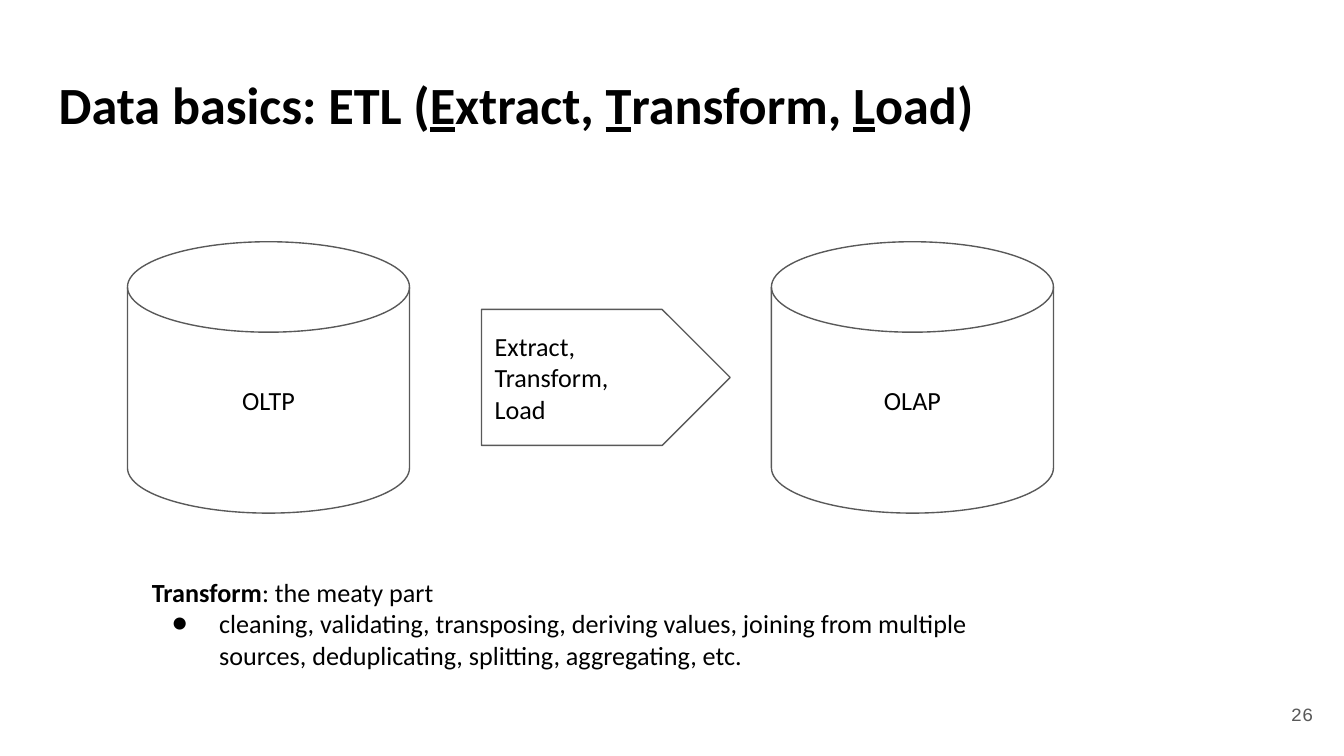
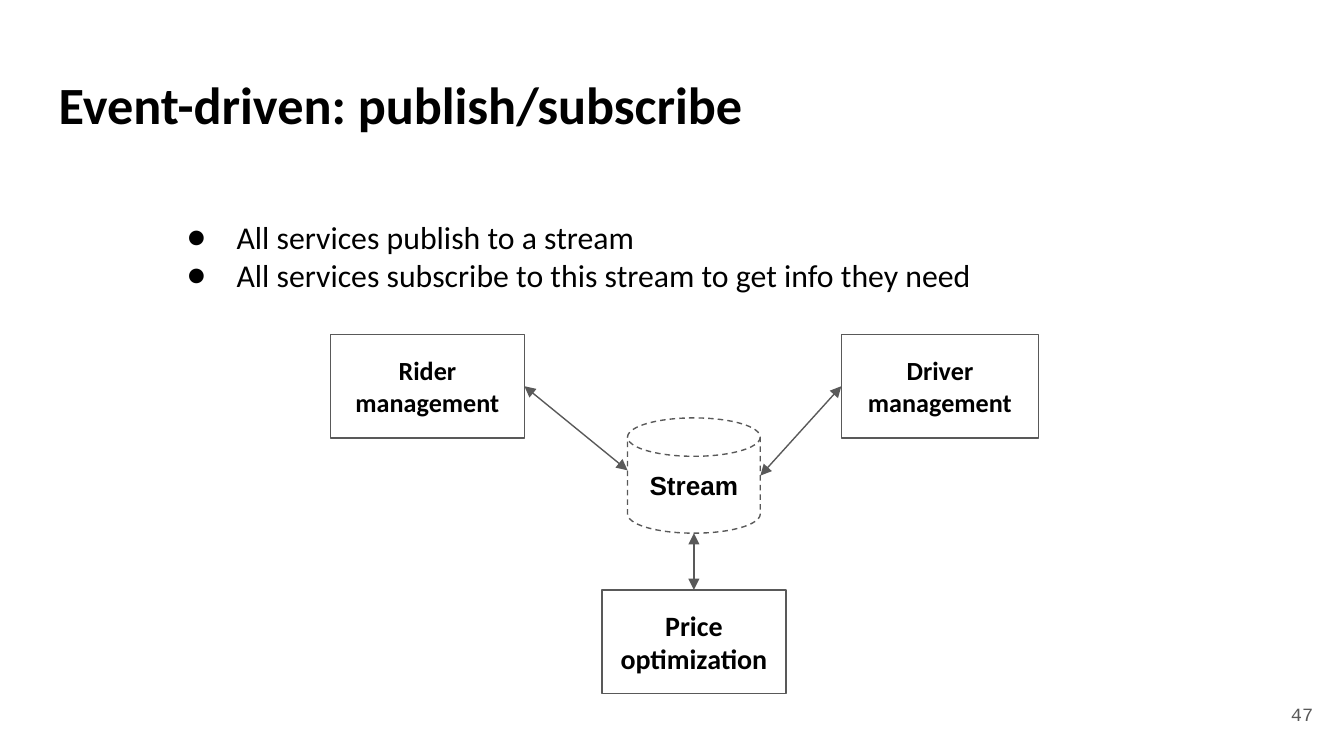
from dataclasses import dataclass

from lxml import etree
from pptx import Presentation
from pptx.dml.color import RGBColor
from pptx.enum.dml import MSO_LINE
from pptx.enum.shapes import MSO_CONNECTOR, MSO_SHAPE
from pptx.enum.text import MSO_ANCHOR, MSO_AUTO_SIZE, PP_ALIGN
from pptx.oxml.ns import qn
from pptx.util import Cm, Pt

BLACK = "000000"
GREY = "595959"
BODY_FONT = "Calibri"
LINE_WIDTH = 0.75
INSET = 0.25

DISK = MSO_SHAPE.FLOWCHART_MAGNETIC_DISK
PROCESS = MSO_SHAPE.FLOWCHART_PROCESS
PENTAGON = MSO_SHAPE.PENTAGON
STRAIGHT = MSO_CONNECTOR.STRAIGHT
DASH = MSO_LINE.DASH
TOP, MIDDLE = MSO_ANCHOR.TOP, MSO_ANCHOR.MIDDLE
LEFT, CENTER, RIGHT = PP_ALIGN.LEFT, PP_ALIGN.CENTER, PP_ALIGN.RIGHT


@dataclass
class Box:
    """A rectangle in centimetres."""
    left: float
    top: float
    width: float
    height: float

    @property
    def right(self):
        return self.left + self.width

    @property
    def bottom(self):
        return self.top + self.height

    @property
    def center(self):
        return self.left + self.width / 2

    @property
    def middle(self):
        return self.top + self.height / 2

    def lengths(self):
        return Cm(self.left), Cm(self.top), Cm(self.width), Cm(self.height)


TITLE_BOX = Box(0.86, 1.12, 23.67, 1.6)
NUMBER_BOX = Box(23.55, 12.95, 1.52, 1.09)


def color(hex_value):
    return RGBColor.from_string(hex_value)


def prepare_frame(shape, anchor):
    frame = shape.text_frame
    frame.word_wrap = True
    frame.auto_size = MSO_AUTO_SIZE.NONE
    frame.vertical_anchor = anchor
    frame.margin_left = frame.margin_right = Cm(INSET)
    frame.margin_top = frame.margin_bottom = Cm(INSET)
    return frame


def place(placeholder, box):
    placeholder.left, placeholder.top, placeholder.width, placeholder.height = box.lengths()
    return prepare_frame(placeholder, TOP)


def style(paragraph, size, align=LEFT, bold=False, font=BODY_FONT, ink=BLACK):
    paragraph.alignment = align
    paragraph.space_before = Pt(0)
    paragraph.font.size = Pt(size)
    paragraph.font.name = font
    paragraph.font.bold = bold
    paragraph.font.color.rgb = color(ink)


def add_runs(paragraph, text, emphasis):
    """Split the text at each | and give every second piece the emphasis."""
    for index, piece in enumerate(text.split("|")):
        if piece:
            run = paragraph.add_run()
            run.text = piece
            if index % 2:
                setattr(run.font, emphasis, True)


def set_bullet(paragraph, hanging):
    """Hang a round bullet, or remove the bullet when hanging is 0."""
    properties = paragraph._p.get_or_add_pPr()
    properties.set("marL", str(Cm(1.27) if hanging else 0))
    properties.set("indent", str(-Cm(hanging)))
    if not hanging:
        etree.SubElement(properties, qn("a:buNone"))
        return
    tint = etree.SubElement(properties, qn("a:buClr"))
    etree.SubElement(tint, qn("a:srgbClr"), val=BLACK)
    etree.SubElement(properties, qn("a:buFont"), typeface=BODY_FONT)
    etree.SubElement(properties, qn("a:buChar"), char="●")


def add_list(slide, box, lines, size):
    """Fill the body with (text, hanging indent) lines."""
    frame = place(slide.placeholders[1], box)
    for index, (text, hanging) in enumerate(lines):
        paragraph = frame.add_paragraph() if index else frame.paragraphs[0]
        set_bullet(paragraph, hanging)
        style(paragraph, size)
        add_runs(paragraph, text, "bold")


def add_node(slide, kind, box, lines, size=14, align=CENTER, bold=False,
             font=BODY_FONT, dash=None):
    node = slide.shapes.add_shape(kind, *box.lengths())
    node.shadow.inherit = False
    node.fill.background()
    node.line.color.rgb = color(GREY)
    node.line.width = Pt(LINE_WIDTH)
    if dash:
        node.line.dash_style = dash
    frame = prepare_frame(node, MIDDLE)
    frame.text = "\n".join(lines)
    for paragraph in frame.paragraphs:
        style(paragraph, size, align, bold, font)


def add_two_way_arrow(slide, start, end):
    arrow = slide.shapes.add_connector(STRAIGHT, *(Cm(v) for v in start + end))
    arrow.line.color.rgb = color(GREY)
    arrow.line.width = Pt(LINE_WIDTH)
    line = arrow.line._get_or_add_ln()
    for side in ("a:headEnd", "a:tailEnd"):
        etree.SubElement(line, qn(side), type="triangle")
    etree.SubElement(arrow._element.spPr, qn("a:effectLst"))


def add_base_slide(deck, title, number):
    slide = deck.slides.add_slide(deck.slide_layouts[1])
    heading = place(slide.shapes.title, TITLE_BOX).paragraphs[0]
    style(heading, 28, bold=True)
    add_runs(heading, title, "underline")
    number_box = slide.shapes.add_textbox(*NUMBER_BOX.lengths())
    page = prepare_frame(number_box, MIDDLE).paragraphs[0]
    page.text = number
    style(page, 10, RIGHT, font="Courier New", ink=GREY)
    return slide


def add_etl_flow(slide, area):
    """Source and target stores at the ends of the area, the ETL step between."""
    store_width = 5.33
    for left, store in ((area.left, "OLTP"), (area.right - store_width, "OLAP")):
        add_node(slide, DISK, Box(left, area.top, store_width, area.height), [store])
    step_height = 2.57
    step = Box(area.left + 6.69, area.middle - step_height / 2, 4.7, step_height)
    add_node(slide, PENTAGON, step, ["Extract,", "Transform,", "Load"], align=LEFT)


def add_stream_diagram(slide, area):
    """Three services around the stream they share."""
    service_height = 1.96
    driver_width, price_width = 3.73, 3.48
    rider = Box(area.left, area.top, 3.66, service_height)
    driver = Box(area.right - driver_width, area.top, driver_width, service_height)
    stream = Box(area.left + 5.61, area.top + 1.58, 2.51, 2.18)
    price = Box(stream.center - price_width / 2, area.bottom - service_height,
                price_width, service_height)

    add_node(slide, PROCESS, rider, ["Rider", "management"], bold=True)
    add_node(slide, PROCESS, driver, ["Driver management"], bold=True)
    add_node(slide, PROCESS, price, ["Price optimization"], size=15, bold=True)
    add_node(slide, DISK, stream, ["Stream"], bold=True, font="Arial", dash=DASH)

    add_two_way_arrow(slide, (rider.right, rider.middle),
                      (stream.left, stream.middle - 0.1))
    add_two_way_arrow(slide, (driver.left, driver.middle),
                      (stream.right, stream.middle))
    add_two_way_arrow(slide, (stream.center, stream.bottom), (price.center, price.top))


def build_etl_slide(deck):
    slide = add_base_slide(deck, "Data basics: ETL (|E|xtract, |T|ransform, |L|oad)", "26")
    add_etl_flow(slide, Box(2.41, 4.57, 17.5, 5.13))
    add_list(slide, Box(2.62, 10.64, 17.63, 2.31), [
        ("|Transform|: the meaty part", 0),
        ("cleaning, validating, transposing, deriving values, joining from multiple "
         "sources, deduplicating, splitting, aggregating, etc.", 0.89),
    ], 14)


def build_publish_subscribe_slide(deck):
    slide = add_base_slide(deck, "Event-driven: publish/subscribe", "47")
    add_list(slide, Box(2.95, 3.86, 20.32, 2.9), [
        ("All services publish to a stream", 0.94),
        ("All services subscribe to this stream to get info they need", 0.94),
    ], 17)
    add_stream_diagram(slide, Box(6.25, 6.32, 13.38, 6.79))


def main():
    deck = Presentation()
    deck.slide_width, deck.slide_height = Cm(25.4), Cm(14.29)
    build_etl_slide(deck)
    build_publish_subscribe_slide(deck)
    deck.save("out.pptx")


if __name__ == "__main__":
    main()
